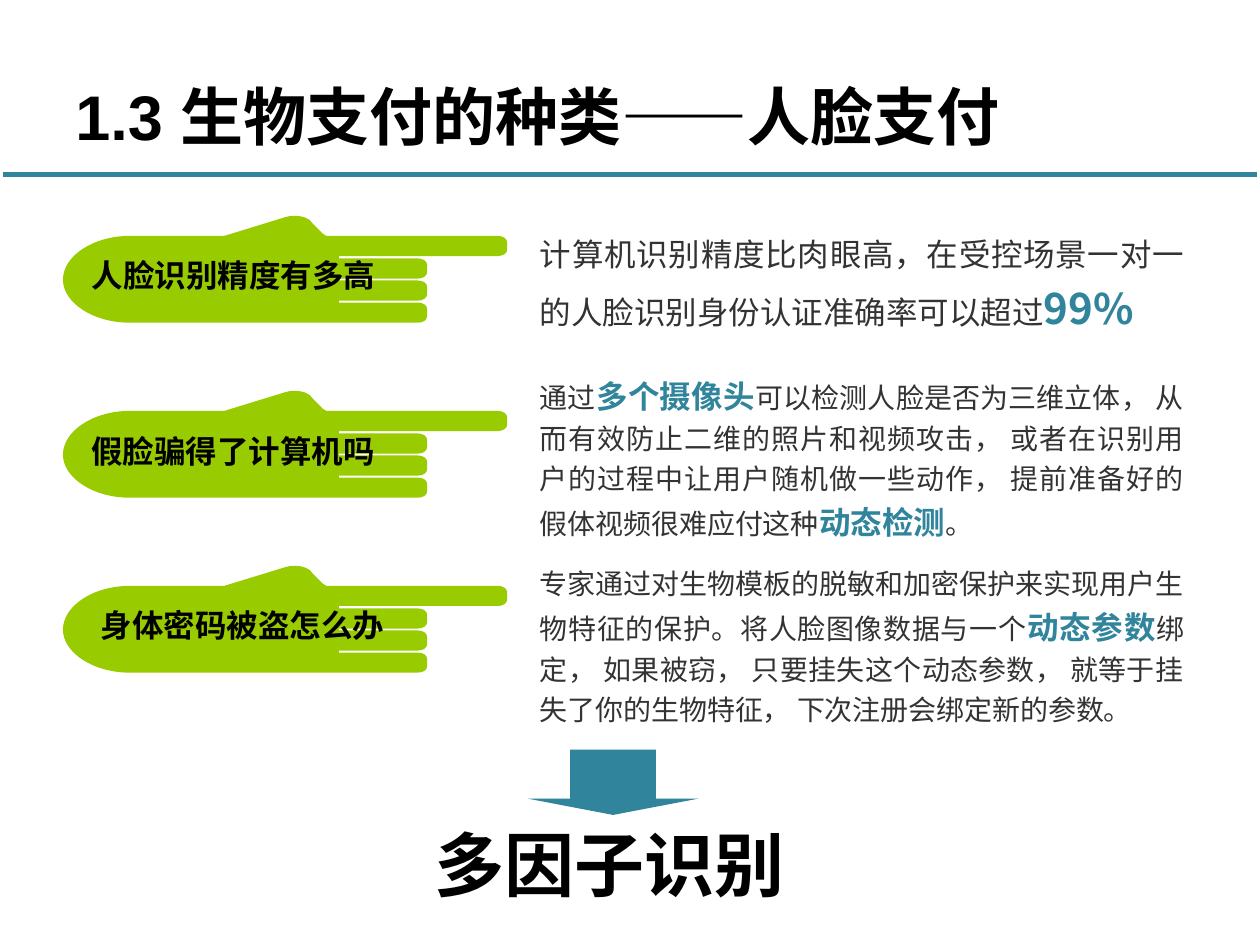
from lxml.etree import SubElement
from pptx import Presentation
from pptx.dml.color import RGBColor
from pptx.enum.shapes import MSO_CONNECTOR, MSO_SHAPE
from pptx.enum.text import MSO_ANCHOR, MSO_AUTO_SIZE, PP_ALIGN
from pptx.oxml.ns import qn
from pptx.util import Pt

TEAL, GREEN, GREY, BLACK = "30849C", "99CC00", "333333", "000000"
LATIN, CHINESE = "Arial", "Noto Sans CJK SC"

TITLE = "1.3 生物支付的种类——人脸支付"
CONCLUSION = "多因子识别"
TOPICS = [
    {
        "label": "人脸识别精度有多高", "label_box": (45.4, 142.6, 178.6, 28.8), "wrap": True,
        "answer_box": (301.4, 123.4, 382.5, 73.4), "sizes": (18, 24),
        "answer": ["计算机识别精度比肉眼高，在受控场景一对一的人脸识别身份认证准确率可以超过", "99%"],
    },
    {
        "label": "假脸骗得了计算机吗", "label_box": (45, 243.4, 176.4, 28.8), "wrap": False,
        "answer_box": (301.4, 223.2, 382.5, 73.4), "sizes": (16, 18),
        "answer": ["通过", "多个摄像头",
                   "可以检测人脸是否为三维立体， 从而有效防止二维的照片和视频攻击， "
                   "或者在识别用户的过程中让用户随机做一些动作， 提前准备好的假体视频很难应付这种",
                   "动态检测", "。"],
    },
    {
        "label": "身体密码被盗怎么办", "label_box": (50.4, 343, 176.4, 28.8), "wrap": False,
        "answer_box": (301.4, 337.6, 382.5, 59.8), "sizes": (16, 18),
        "answer": ["专家通过对生物模板的脱敏和加密保护来实现用户生物特征的保护。将人脸图像数据与一个",
                   "动态参数",
                   "绑定， 如果被窃， 只要挂失这个动态参数， 就等于挂失了你的生物特征， "
                   "下次注册会绑定新的参数。"],
    },
]

HAND_LEFT, HAND_TOP, HAND_PITCH = 36, 123.3, 100
FINGER_TOP, FINGER_PITCH, FINGER_HEIGHT = 24.4, 12.6, 11.5
KNUCKLE, FINGER_RIGHT, INDEX_RIGHT = 157.7, 208.1, 253.8


def color(value):
    """Turn a hex string into a colour."""
    return RGBColor.from_string(value)


def finger(top, right):
    """Return the segments of a rounded finger, ending at the knuckle."""
    bottom, inner, middle = top + FINGER_HEIGHT, right - 5.4, right - 2.4
    return [
        [(inner, top)],
        [(middle, top), (right, top + 1.5), (right, top + 3.6)],
        [(right, bottom - 3.6)],
        [(right, bottom - 1.5), (middle, bottom), (inner, bottom)],
    ]


def hand_outline():
    """Return a pointing hand as segments of one point (line) or three (curve)."""
    segments = [
        [(131.8, 0)],
        [(136.8, 0), (141.1, 1.4), (142.6, 4.3)],
        [(144, 5.8), (146.2, 7.9), (148.3, 10.1)],
        [(150.5, 11.5)],
        *finger(11.5, INDEX_RIGHT),
    ]
    previous_bottom = 11.5 + FINGER_HEIGHT
    for index in range(3):
        top = FINGER_TOP + index * FINGER_PITCH
        segments += [[(KNUCKLE, previous_bottom)], [(KNUCKLE, top)], *finger(top, FINGER_RIGHT)]
        previous_bottom = top + FINGER_HEIGHT
    return segments + [
        [(38.2, previous_bottom)],
        [(17.3, previous_bottom), (0, 49.7), (0, 36.5)],
        [(0, 23), (17.3, 11.5), (38.2, 11.5)],
        [(92.2, 11.5)],
        [(127.4, 0.7)],
        [(128.9, 0.3), (130.3, 0), (131.8, 0)],
    ]


def paint(shape, fill):
    """Give a shape a plain fill with no line or shadow."""
    shape.shadow.inherit = False
    shape.fill.solid()
    shape.fill.fore_color.rgb = color(fill)
    shape.line.fill.background()


def add_hand(slide, left, top):
    """Draw a pointing hand with true curves."""
    segments = hand_outline()
    anchors = [(Pt(left + x), Pt(top + y)) for x, y in (segment[-1] for segment in segments)]
    builder = slide.shapes.build_freeform(*anchors[0], scale=1.0)
    builder.add_line_segments(anchors[1:], close=True)
    hand = builder.convert_to_shape()
    lines = list(hand._element.iter(qn("a:lnTo")))
    for line, segment in zip(lines, segments[1:]):
        if len(segment) == 3:
            bezier = line.makeelement(qn("a:cubicBezTo"), {})
            for x, y in segment:
                SubElement(bezier, qn("a:pt"), x=str(Pt(x)), y=str(Pt(y)))
            line.getparent().replace(line, bezier)
    paint(hand, GREEN)


def add_text(slide, place, spans, wrap=True, middle=False):
    """Add a one-paragraph text box and return its paragraph."""
    box = slide.shapes.add_textbox(*map(Pt, place))
    frame = box.text_frame
    frame.word_wrap = wrap
    if middle:
        frame.vertical_anchor = MSO_ANCHOR.MIDDLE
    else:
        frame.auto_size = MSO_AUTO_SIZE.SHAPE_TO_FIT_TEXT
    para = frame.paragraphs[0]
    for text, size, name, fill, bold in spans:
        span = para.add_run()
        span.text = text
        span.font.size = Pt(size)
        span.font.bold = bold
        span.font.color.rgb = color(fill)
        span.font.name = name
        SubElement(span.font._element, qn("a:ea"), typeface=CHINESE)
    return para


def add_answer(slide, topic):
    """Add an answer whose every second span is highlighted."""
    size, strong_size = topic["sizes"]
    spans = [(text, strong_size, CHINESE, TEAL, True) if index % 2
             else (text, size, CHINESE, GREY, False)
             for index, text in enumerate(topic["answer"])]
    para = add_text(slide, topic["answer_box"], spans, middle=True)
    para.alignment = PP_ALIGN.JUSTIFY
    para.line_spacing = 1.2


def main():
    """Build the slide and save it."""
    deck = Presentation()
    deck.slide_width, deck.slide_height = Pt(720), Pt(540)
    slide = deck.slides.add_slide(deck.slide_layouts[6])

    for row in (1, 2, 0):
        add_hand(slide, HAND_LEFT, HAND_TOP + row * HAND_PITCH)
    for topic in TOPICS:
        add_answer(slide, topic)

    rule = slide.shapes.add_connector(MSO_CONNECTOR.STRAIGHT, Pt(1.5), Pt(99.6), Pt(718.5), Pt(99.6))
    rule.line.color.rgb = color(TEAL)
    rule.line.width = Pt(3)
    SubElement(rule._element.spPr, qn("a:effectLst"))

    add_text(slide, (36, 33.8, 648, 64), [(TITLE, 36, LATIN, BLACK, True)], middle=True)
    add_text(slide, (241.2, 465.8, 277.9, 55.4), [(CONCLUSION, 40, LATIN, BLACK, True)])

    arrow = slide.shapes.add_shape(MSO_SHAPE.DOWN_ARROW, Pt(301.4), Pt(428.3), Pt(97.9), Pt(37.4))
    arrow.adjustments[0], arrow.adjustments[1] = 0.5, 0.25
    paint(arrow, TEAL)

    for topic in TOPICS:
        add_text(slide, topic["label_box"], [(topic["label"], 18, CHINESE, BLACK, True)],
                 wrap=topic["wrap"])

    deck.save("out.pptx")


if __name__ == "__main__":
    main()
